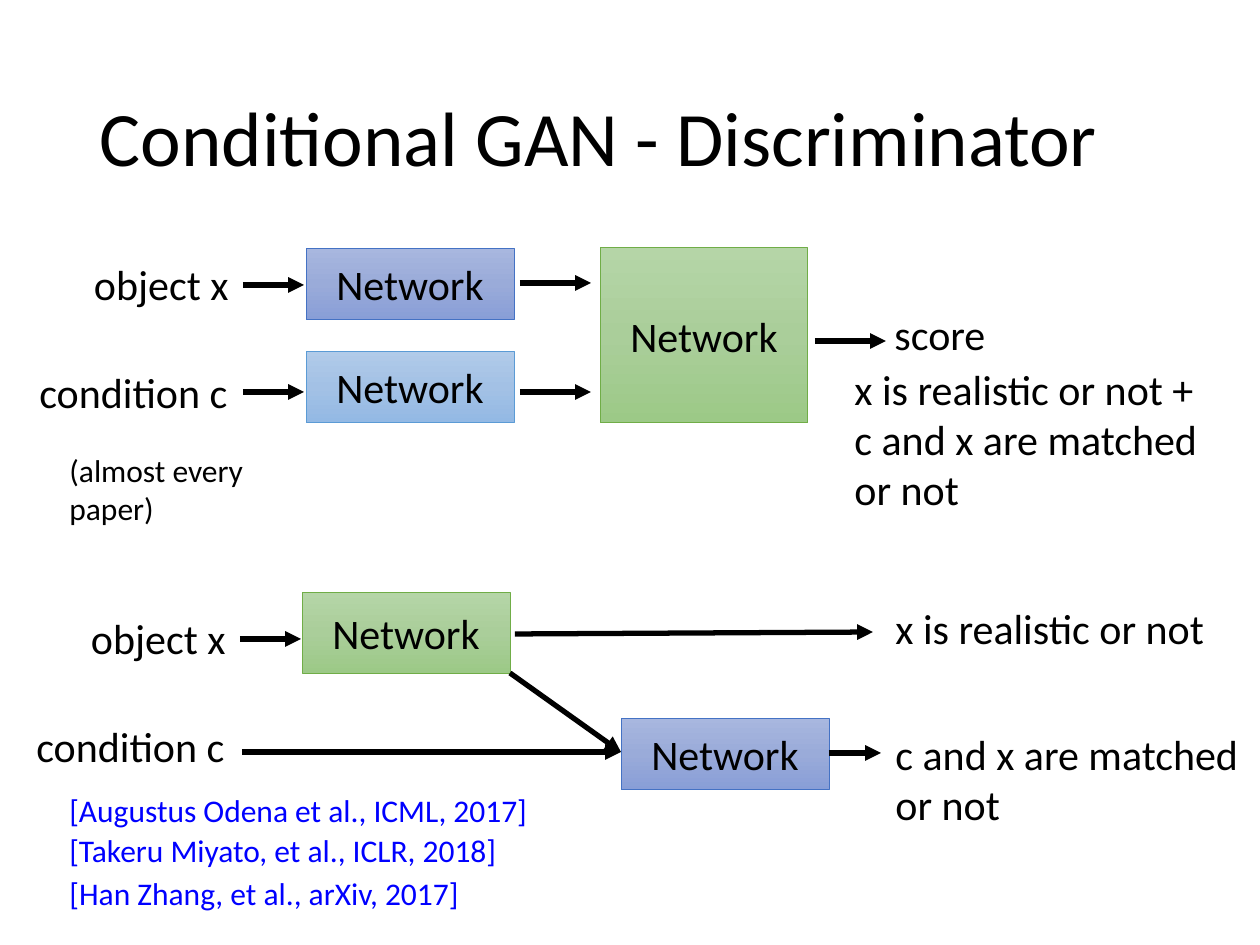
from copy import deepcopy

from pptx import Presentation
from pptx.dml.color import RGBColor
from pptx.enum.shapes import MSO_CONNECTOR as Connector, MSO_SHAPE as Shape
from pptx.enum.text import MSO_ANCHOR as Anchor, MSO_AUTO_SIZE as AutoSize, PP_ALIGN as Align
from pptx.oxml.ns import qn
from pptx.util import Emu, Pt

EMU_PER_PX = 914400 / 126
BLACK, BLUE = "000000", "0000FF"
GREEN_BLOCK = ("B5D5A7", "AACE9A", "9CC987", "70AD47")
INDIGO_BLOCK = ("A8B7DF", "9AABD9", "889ED7", "4472C4")
SKY_BLOCK = ("B1CBE9", "A3C1E5", "93B9E4", "5B9BD5")


def px(length):
    return Emu(round(length * EMU_PER_PX))


def color(value):
    return RGBColor.from_string(value)


def write(text_frame, text, size, fill=BLACK, align=Align.LEFT):
    text_frame.text = text
    for paragraph in text_frame.paragraphs:
        paragraph.alignment = align
        for run in paragraph.runs:
            run.font.name = "Calibri"
            run.font.size = Pt(size)
            run.font.color.rgb = color(fill)


def add_label(slide, text, left, top, width, height, size=24,
              fill=BLACK, align=Align.LEFT, wrap=True):
    box = slide.shapes.add_textbox(px(left), px(top), px(width), px(height))
    box.text_frame.word_wrap = wrap
    box.text_frame.auto_size = AutoSize.SHAPE_TO_FIT_TEXT
    write(box.text_frame, text, size, fill, align)


def add_network(slide, left, top, height, palette):
    block = slide.shapes.add_shape(Shape.RECTANGLE, px(left), px(top), px(208), px(height))
    block.shadow.inherit = False
    block.fill.gradient()
    block.fill.gradient_angle = 270
    stop_list = block.element.find(".//" + qn("a:gsLst"))
    stop_list.insert(1, deepcopy(stop_list[0]))
    *stop_colors, outline = palette
    for index, stop in enumerate(block.fill.gradient_stops):
        stop.position = index / 2
        stop.color.rgb = color(stop_colors[index])
    block.line.color.rgb = color(outline)
    block.line.width = Pt(0.5)
    block.text_frame.vertical_anchor = Anchor.MIDDLE
    write(block.text_frame, "Network", 24, align=Align.CENTER)


def add_arrow(slide, start_x, start_y, end_x, end_y):
    arrow = slide.shapes.add_connector(
        Connector.STRAIGHT, px(start_x), px(start_y), px(end_x), px(end_y))
    arrow.line.color.rgb = color(BLACK)
    arrow.line.width = Pt(3)
    line = arrow.line._get_or_add_ln()
    line.append(line.makeelement(qn("a:tailEnd"), {"type": "triangle"}))
    properties = arrow.element.spPr
    properties.append(properties.makeelement(qn("a:effectLst"), {}))


def add_title(slide, left, top, width, height):
    title = slide.shapes.title
    title.left, title.top, title.width, title.height = map(px, (left, top, width, height))
    title.text_frame.vertical_anchor = Anchor.MIDDLE
    write(title.text_frame, "Conditional GAN - Discriminator", 44)
    title.text_frame.paragraphs[0].line_spacing = 0.9


def add_inputs(slide, left, top):
    add_label(slide, "object x", left - 24, top, 265, 63, align=Align.RIGHT)
    add_label(slide, "condition c", left + 1, top + 108, 265, 63, align=Align.CENTER)
    add_arrow(slide, left + 243, top + 33, left + 304, top + 33)


def add_joint_discriminator(slide, left, top):
    add_label(slide, "x is realistic or not +\nc and x are matched or not",
              left + 842, top + 109, 386, 165)
    add_inputs(slide, left, top + 4)
    add_network(slide, left + 600, top, 175, GREEN_BLOCK)
    add_network(slide, left + 306, top, 72, INDIGO_BLOCK)
    add_network(slide, left + 306, top + 103, 72, SKY_BLOCK)
    add_label(slide, "score", left + 882, top + 54, 243, 63)
    add_label(slide, "(almost every paper)", left + 57, top + 197, 284, 50, 18)
    for start, end, y in ((243, 304, 144), (520, 591, 35), (520, 591, 144), (815, 886, 93)):
        add_arrow(slide, left + start, top + y, left + end, top + y)


def add_split_discriminator(slide, left, top):
    add_inputs(slide, left - 3, top + 14)
    add_network(slide, left + 302, top, 81, GREEN_BLOCK)
    add_network(slide, left + 621, top + 126, 72, INDIGO_BLOCK)
    for start_x, start_y, end_x, end_y in (
            (242, 160, 621, 160), (515, 42, 873, 40), (510, 81, 621, 160), (829, 161, 881, 161)):
        add_arrow(slide, left + start_x, top + start_y, left + end_x, top + end_y)
    add_label(slide, "x is realistic or not", left + 883, top + 4, 386, 63)
    add_label(slide, "c and x are matched or not", left + 883, top + 130, 386, 115)


def add_references(slide, left, top):
    references = (
        ("[Augustus Odena et al., ICML, 2017]", 0, 489),
        ("[Takeru Miyato, et al., ICLR, 2018]", 40, 465),
        ("[Han Zhang, et al., arXiv, 2017]", 83, 420),
    )
    for text, offset, width in references:
        add_label(slide, text, left, top + offset, width, 50, 18, BLUE, wrap=False)


def main():
    presentation = Presentation()
    presentation.slide_width, presentation.slide_height = px(1260), px(945)
    slide = presentation.slides.add_slide(presentation.slide_layouts[5])
    add_title(slide, 87, 50, 1086, 183)
    add_joint_discriminator(slide, 0, 248)
    add_split_discriminator(slide, 0, 592)
    add_references(slide, 57, 785)
    presentation.save("out.pptx")


if __name__ == "__main__":
    main()
